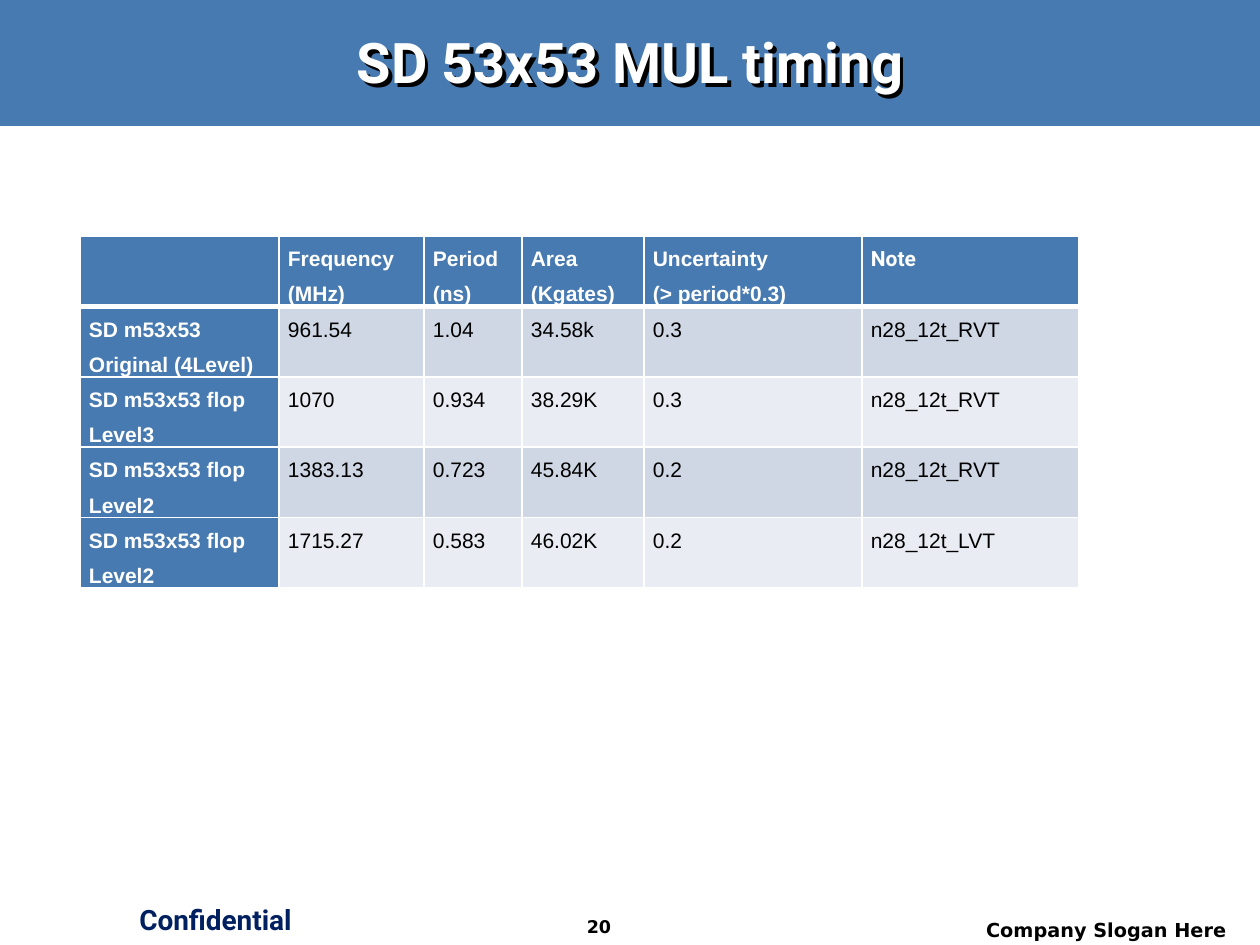
from dataclasses import dataclass

from lxml import etree
from pptx import Presentation, util as u
from pptx.dml.color import RGBColor
from pptx.enum import shapes, text
from pptx.oxml import ns

SCALE = 914400 // 126  # EMU in one px


@dataclass(frozen=True)
class Theme:
    blue: str = "477AB1"
    navy: str = "002060"
    white: str = "FFFFFF"
    black: str = "000000"
    bands: tuple = ("CFD7E4", "E9ECF2")
    head: str = "Roboto"
    body: str = "Arial"
    foot: str = "DejaVu Sans"
    title: int = 32
    mark: int = 16
    slogan: int = 11
    number: int = 10
    cell: int = 12
    pitch: float = 20.1
    thin: int = 1
    thick: int = 3


@dataclass(frozen=True)
class Label:
    words: str
    left: int
    top: int
    width: int
    height: int
    face: str
    size: int
    color: str
    align: text.PP_ALIGN = text.PP_ALIGN.CENTER
    anchor: text.MSO_ANCHOR = text.MSO_ANCHOR.TOP


T = Theme()

TITLE = Label("SD 53x53 MUL timing", 44, 20, 1173, 83, T.head, T.title,
              T.white, anchor=text.MSO_ANCHOR.MIDDLE)
FOOTER = (
    Label("Confidential", 112, 896, 207, 53, T.head, T.mark, T.navy),
    Label("Company Slogan Here", 940, 912, 299, 33, T.foot, T.slogan,
          T.black, text.PP_ALIGN.RIGHT),
    Label("20", 541, 910, 116, 35, T.foot, T.number, T.black),
)

# Table content; \v is a line break inside a paragraph
WIDTHS = (199, 145, 98, 122, 218, 217)
HEIGHT = 70
ROWS = (
    ("", "Frequency\v(MHz)", "Period\v(ns)", "Area\v(Kgates)",
     "Uncertainty\v(> period*0.3)", "Note"),
    ("SD m53x53 Original (4Level)", "961.54", "1.04", "34.58k", "0.3", "n28_12t_RVT"),
    ("SD m53x53 flop Level3", "1070", "0.934", "38.29K", "0.3", "n28_12t_RVT"),
    ("SD m53x53 flop Level2", "1383.13", "0.723", "45.84K", "0.2", "n28_12t_RVT"),
    ("SD m53x53 flop Level2", "1715.27", "0.583", "46.02K", "0.2", "n28_12t_LVT"),
)


def px(*sizes: int) -> list:
    return [u.Emu(size * SCALE) for size in sizes]


def style(para, face: str, size: int, color: str, bold: bool = True) -> None:
    font = para.font
    font.name, font.size, font.bold = face, u.Pt(size), bold
    font.color.rgb = RGBColor.from_string(color)


def paint(fill, color: str) -> None:
    fill.solid()
    fill.fore_color.rgb = RGBColor.from_string(color)


def add_label(slide, label: Label):
    box = slide.shapes.add_textbox(
        *px(label.left, label.top, label.width, label.height))
    frame = box.text_frame
    frame.word_wrap = True
    frame.vertical_anchor = label.anchor
    para = frame.paragraphs[0]
    para.text, para.alignment = label.words, label.align
    style(para, label.face, label.size, label.color)
    return box


def add_shadow(box, color: str) -> None:
    """Cast a hard shadow down and to the right."""
    effects = etree.SubElement(box.element.spPr, ns.qn("a:effectLst"))
    shadow = etree.SubElement(effects, ns.qn("a:outerShdw"), blurRad="0",
                              dist=str(u.Pt(3)), dir="2700000", algn="tl")
    etree.SubElement(shadow, ns.qn("a:srgbClr"), val=color)


def add_edges(cell, bottom: int) -> None:
    props = cell._tc.get_or_add_tcPr()
    sides = (("L", T.thin), ("R", T.thin), ("T", T.thin), ("B", bottom))
    for spot, (side, width) in enumerate(sides):
        line = etree.Element(ns.qn(f"a:ln{side}"), w=str(u.Pt(width)))
        fill = etree.SubElement(line, ns.qn("a:solidFill"))
        etree.SubElement(fill, ns.qn("a:srgbClr"), val=T.white)
        props.insert(spot, line)


def fill_cell(cell, words: str, row: int, col: int) -> None:
    head = row == 0 or col == 0
    cell.margin_left = cell.margin_right = px(9)[0]
    cell.margin_top = cell.margin_bottom = 0
    para = cell.text_frame.paragraphs[0]
    para.text, para.line_spacing = words, u.Pt(T.pitch)
    style(para, T.head if words == "Note" else T.body, T.cell,
          T.white if head else T.black, head)
    paint(cell.fill, T.blue if head else T.bands[(row - 1) % 2])
    add_edges(cell, T.thick if row == 0 else T.thin)


def add_grid(slide, left: int, top: int) -> None:
    grid = slide.shapes.add_table(
        len(ROWS), len(WIDTHS),
        *px(left, top, sum(WIDTHS), HEIGHT * len(ROWS))).table
    for col, width in zip(grid.columns, px(*WIDTHS)):
        col.width = width
    for row, line in enumerate(ROWS):
        grid.rows[row].height = px(HEIGHT)[0]
        for col, words in enumerate(line):
            fill_cell(grid.cell(row, col), words, row, col)


def main() -> None:
    deck = Presentation()
    deck.slide_width, deck.slide_height = px(1260, 945)
    slide = deck.slides.add_slide(deck.slide_layouts[6])

    # Title band
    band = slide.shapes.add_shape(
        shapes.MSO_SHAPE.RECTANGLE, *px(0, 0, 1260, 126))
    band.shadow.inherit = False
    paint(band.fill, T.blue)
    band.line.fill.background()

    # Footer
    for label in FOOTER:
        add_label(slide, label)

    # Title and timing table
    add_shadow(add_label(slide, TITLE), T.black)
    add_grid(slide, 80, 236)

    deck.save("out.pptx")


if __name__ == "__main__":
    main()
